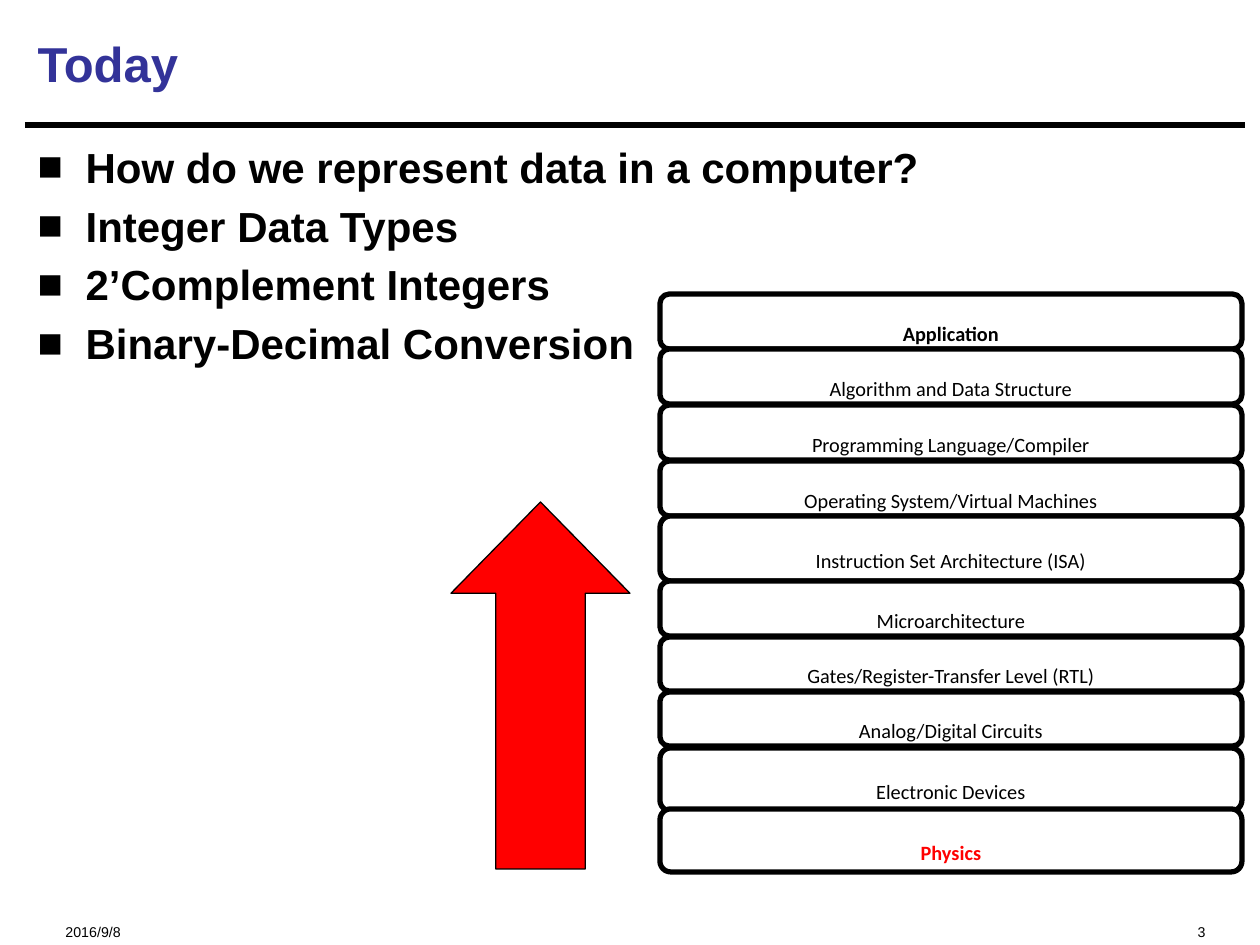
from dataclasses import dataclass
from lxml.etree import SubElement
from pptx import Presentation
from pptx.dml.color import RGBColor
from pptx.enum.shapes import MSO_CONNECTOR, MSO_SHAPE
from pptx.enum.text import MSO_ANCHOR, MSO_AUTO_SIZE, PP_ALIGN
from pptx.oxml.ns import qn
from pptx.util import Emu, Pt

EMU_PER_PIXEL = 914400 / 126


def pixels(length: int) -> Emu:
    return Emu(round(length * EMU_PER_PIXEL))


@dataclass(frozen=True)
class Theme:
    black: RGBColor = RGBColor(0x00, 0x00, 0x00)
    white: RGBColor = RGBColor(0xFF, 0xFF, 0xFF)
    red: RGBColor = RGBColor(0xFF, 0x00, 0x00)
    navy: RGBColor = RGBColor(0x33, 0x33, 0x99)
    main_font: str = "Arial"
    layer_font: str = "Calibri"
    title_size: int = 28
    body_size: int = 24
    layer_size: int = 20
    footer_size: int = 14


@dataclass(frozen=True)
class Layer:
    label: str
    top: int
    height: int = 55
    bold: bool = False
    color: RGBColor = Theme.black


@dataclass(frozen=True)
class FooterText:
    text: str
    left: int
    width: int
    alignment: PP_ALIGN


THEME = Theme()
TOPICS = (
    "How do we represent data in a computer?",
    "Integer Data Types",
    "2’Complement Integers",
    "Binary-Decimal Conversion",
)
LAYERS = (
    Layer("Application", 294, bold=True),
    Layer("Algorithm and Data Structure", 349),
    Layer("Programming Language/Compiler", 405),
    Layer("Operating System/Virtual Machines", 461),
    Layer("Instruction Set Architecture (ISA)", 516, 65),
    Layer("Microarchitecture", 581),
    Layer("Gates/Register-Transfer Level (RTL)", 637, 54),
    Layer("Analog/Digital Circuits", 692, 54),
    Layer("Electronic Devices", 748, 63),
    Layer("Physics", 809, 63, bold=True, color=THEME.red),
)
FOOTERS = (
    FooterText("2016/9/8", 53, 315, PP_ALIGN.LEFT),
    FooterText("3", 840, 378, PP_ALIGN.RIGHT),
)


def place(shape, left: int, top: int, width: int, height: int) -> None:
    shape.left, shape.top = pixels(left), pixels(top)
    shape.width, shape.height = pixels(width), pixels(height)


def add_run(paragraph, text: str, size: int, font: str = THEME.main_font,
            color: RGBColor = THEME.black, bold: bool = False, subscript: bool = False) -> None:
    run = paragraph.add_run()
    run.text = text
    run.font.size = Pt(size)
    run.font.name = font
    run.font.bold = bold
    run.font.color.rgb = color
    if subscript:
        run.font._element.set("baseline", "-25000")


def add_bullet(paragraph) -> None:
    properties = paragraph._p.get_or_add_pPr()
    properties.set("marL", str(pixels(48)))
    properties.set("indent", str(-pixels(48)))
    spacing = SubElement(properties, qn("a:spcBef"))
    SubElement(spacing, qn("a:spcPct"), val="20000")
    SubElement(properties, qn("a:buFont"), typeface=THEME.main_font)
    SubElement(properties, qn("a:buChar"), char="■")


def fill_title(title) -> None:
    place(title, 25, 10, 1218, 106)
    title.text_frame.auto_size = MSO_AUTO_SIZE.NONE
    title.text_frame.vertical_anchor = MSO_ANCHOR.MIDDLE
    paragraph = title.text_frame.paragraphs[0]
    paragraph.alignment = PP_ALIGN.LEFT
    add_run(paragraph, "Today", THEME.title_size, color=THEME.navy, bold=True)


def fill_body(body) -> None:
    place(body, 25, 135, 1218, 755)
    frame = body.text_frame
    frame.auto_size = MSO_AUTO_SIZE.NONE
    for index, topic in enumerate(TOPICS):
        paragraph = frame.add_paragraph() if index else frame.paragraphs[0]
        add_bullet(paragraph)
        add_run(paragraph, topic, THEME.body_size, bold=True)


def add_rule(slide) -> None:
    rule = slide.shapes.add_connector(
        MSO_CONNECTOR.STRAIGHT, pixels(25), pixels(125), pixels(1245), pixels(125))
    rule.line.color.rgb = THEME.black
    rule.line.width = Pt(3.75)
    SubElement(rule._element.spPr, qn("a:effectLst"))


def add_outlined(slide, kind: MSO_SHAPE, left: int, top: int, width: int, height: int,
                 fill: RGBColor, line_width: float):
    shape = slide.shapes.add_shape(
        kind, pixels(left), pixels(top), pixels(width), pixels(height))
    shape.shadow.inherit = False
    shape.fill.solid()
    shape.fill.fore_color.rgb = fill
    shape.line.color.rgb = THEME.black
    shape.line.width = Pt(line_width)
    return shape


def add_layer(slide, layer: Layer) -> None:
    shape = add_outlined(slide, MSO_SHAPE.ROUNDED_RECTANGLE, 660, layer.top, 582,
                         layer.height, THEME.white, 3)
    shape.adjustments[0] = 0.17
    frame = shape.text_frame
    frame.word_wrap = False
    frame.vertical_anchor = MSO_ANCHOR.MIDDLE
    paragraph = frame.paragraphs[0]
    paragraph.alignment = PP_ALIGN.CENTER
    add_run(paragraph, layer.label, THEME.layer_size, THEME.layer_font,
            layer.color, layer.bold, subscript=True)


def add_footer(slide, footer: FooterText) -> None:
    box = slide.shapes.add_textbox(
        pixels(footer.left), pixels(901), pixels(footer.width), pixels(34))
    box.text_frame.word_wrap = True
    paragraph = box.text_frame.paragraphs[0]
    paragraph.alignment = footer.alignment
    add_run(paragraph, footer.text, THEME.footer_size, subscript=True)


def build() -> None:
    presentation = Presentation()
    presentation.slide_width, presentation.slide_height = pixels(1260), pixels(945)
    slide = presentation.slides.add_slide(presentation.slide_layouts[1])
    fill_title(slide.shapes.title)
    fill_body(slide.placeholders[1])
    add_rule(slide)
    for footer in FOOTERS:
        add_footer(slide, footer)
    for layer in LAYERS:
        add_layer(slide, layer)
    arrow = add_outlined(slide, MSO_SHAPE.UP_ARROW, 451, 502, 179, 367, THEME.red, 0.75)
    arrow.adjustments[0] = 0.5
    arrow.adjustments[1] = 0.51
    presentation.save("out.pptx")


build()
